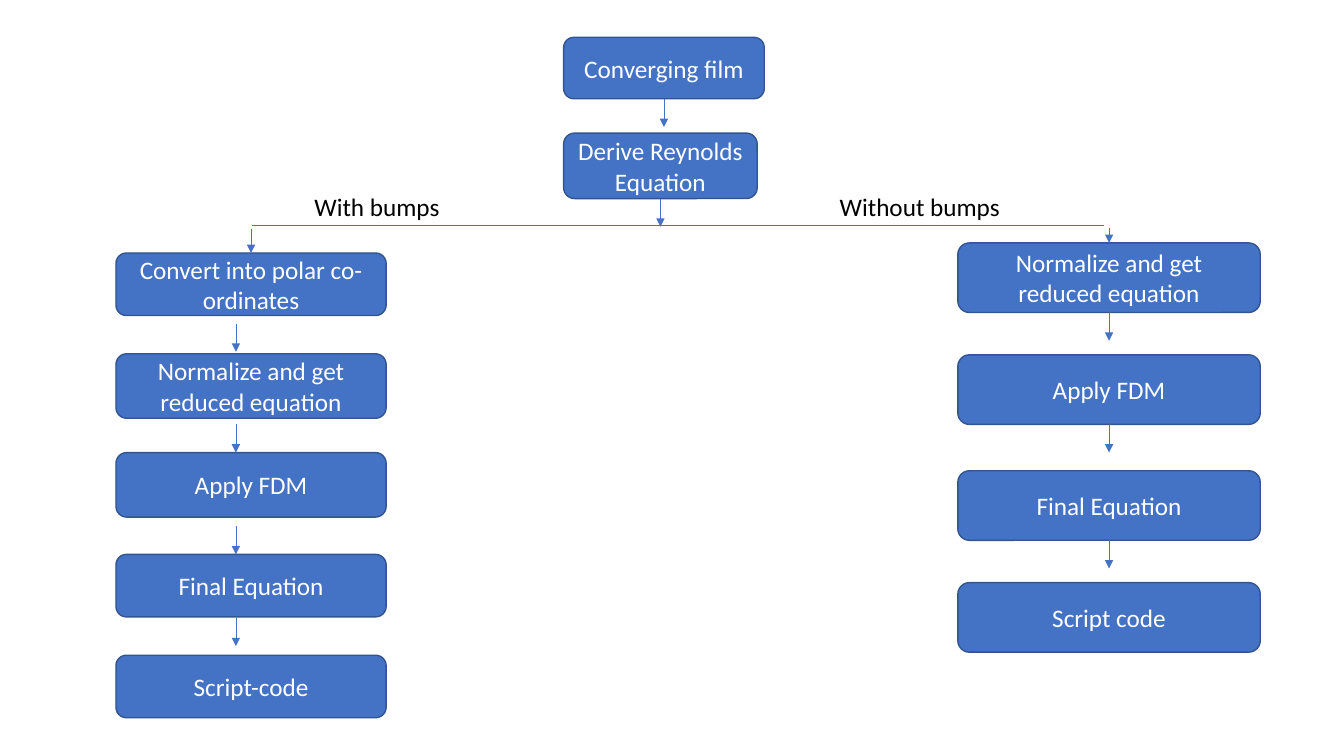
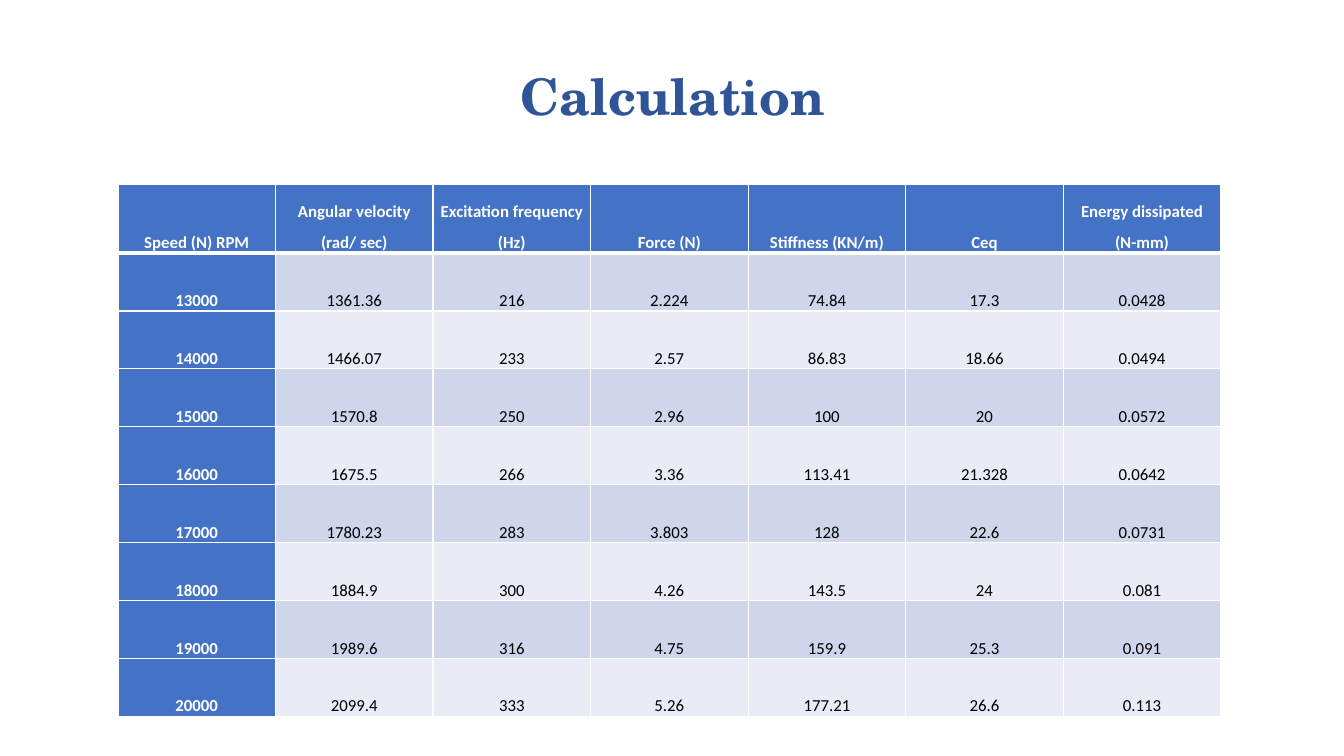
"""Build a two-slide deck: a solution flowchart and a table of results."""
import dataclasses

import lxml.etree
import pptx
import pptx.dml.color
import pptx.enum.shapes
import pptx.enum.text
import pptx.oxml.ns
import pptx.util

Inches = pptx.util.Inches
qn = pptx.oxml.ns.qn


@dataclasses.dataclass(frozen=True)
class Theme:
    """Colours, fonts and sizes shared by the slides."""
    accent: str = "4472C4"
    outline: str = "325491"
    heading: str = "2F5597"
    light: str = "FFFFFF"
    dark: str = "000000"
    bands: tuple = ("CFD5EA", "E9EBF5")
    body_font: str = "Calibri"
    title_font: str = "TeX Gyre Schola"
    title_size: int = 36
    flow_size: int = 18
    table_size: int = 12
    outline_width: float = 1
    arrow_width: float = 0.5
    rule_width: int = 1
    header_rule_width: int = 3


THEME = Theme()
ARROW_LENGTH = 0.28

WITH_BUMPS = [
    ("Convert into polar co-ordinates", 0, 0.62, 0.7),
    ("Normalize and get reduced equation", 1, 0.64, 1.7),
    ("Apply FDM", 1.98, 0.64, 2.71),
    ("Final Equation", 2.99, 0.62, 3.62),
    ("Script-code", 3.99, 0.62, None),
]
WITHOUT_BUMPS = [
    ("Normalize and get reduced equation", 0, 0.69, 0.69),
    ("Apply FDM", 1.11, 0.69, 1.8),
    ("Final Equation", 2.26, 0.69, 2.95),
    ("Script code", 3.37, 0.69, None),
]
RESULTS = [
    ("Speed (N) RPM", "Angular velocity (rad/ sec)", "Excitation frequency (Hz)",
     "Force (N)", "Stiffness (KN/m)", "Ceq", "Energy dissipated (N-mm)"),
    ("13000", "1361.36", "216", "2.224", "74.84", "17.3", "0.0428"),
    ("14000", "1466.07", "233", "2.57", "86.83", "18.66", "0.0494"),
    ("15000", "1570.8", "250", "2.96", "100", "20", "0.0572"),
    ("16000", "1675.5", "266", "3.36", "113.41", "21.328", "0.0642"),
    ("17000", "1780.23", "283", "3.803", "128", "22.6", "0.0731"),
    ("18000", "1884.9", "300", "4.26", "143.5", "24", "0.081"),
    ("19000", "1989.6", "316", "4.75", "159.9", "25.3", "0.091"),
    ("20000", "2099.4", "333", "5.26", "177.21", "26.6", "0.113"),
]


def rgb(code):
    """Return the colour for a hex code."""
    return pptx.dml.color.RGBColor.from_string(code)


def write(paragraph, text, size, color, font=THEME.body_font, bold=False, align="CENTER"):
    """Add one formatted run to a paragraph."""
    paragraph.alignment = getattr(pptx.enum.text.PP_ALIGN, align)
    run = paragraph.add_run()
    run.text = text
    run.font.name = font
    run.font.size = pptx.util.Pt(size)
    run.font.bold = bold
    run.font.color.rgb = rgb(color)


def add_step(slide, text, left, top, width, height):
    """Draw one flowchart step."""
    step = slide.shapes.add_shape(
        pptx.enum.shapes.MSO_SHAPE.FLOWCHART_ALTERNATE_PROCESS,
        Inches(left), Inches(top), Inches(width), Inches(height))
    step.shadow.inherit = False
    step.fill.solid()
    step.fill.fore_color.rgb = rgb(THEME.accent)
    step.line.color.rgb = rgb(THEME.outline)
    step.line.width = pptx.util.Pt(THEME.outline_width)
    step.text_frame.word_wrap = True
    step.text_frame.vertical_anchor = pptx.enum.text.MSO_ANCHOR.MIDDLE
    write(step.text_frame.paragraphs[0], text, THEME.flow_size, THEME.light)
    return step


def add_line(slide, start, end, arrow=True, source=None, target=None):
    """Draw a line, joined to the bottom of source or the top of target if given."""
    line = slide.shapes.add_connector(
        pptx.enum.shapes.MSO_CONNECTOR.STRAIGHT,
        Inches(start[0]), Inches(start[1]), Inches(end[0]), Inches(end[1]))
    line.line.color.rgb = rgb(THEME.accent)
    line.line.width = pptx.util.Pt(THEME.arrow_width)
    properties = line.element.spPr
    if arrow:
        lxml.etree.SubElement(properties.find(qn("a:ln")), qn("a:tailEnd"), type="triangle")
    lxml.etree.SubElement(properties, qn("a:effectLst"))
    if source is not None:
        line.begin_connect(source, 2)
    if target is not None:
        line.end_connect(target, 0)


def add_down_arrow(slide, x, top, source=None):
    """Draw a short arrow pointing down."""
    add_line(slide, (x, top), (x, top + ARROW_LENGTH), source=source)


def add_trunk(slide, left, top):
    """Draw the two steps shared by both branches."""
    for text, offset, width, height in (("Converging film", 0, 1.99, 0.61),
                                        ("Derive Reynolds Equation", 0.95, 1.92, 0.65)):
        step = add_step(slide, text, left, top + offset, width, height)
        add_down_arrow(slide, left + width / 2, top + offset + height, step)


def add_branch(slide, left, top, width, steps, arrow_x, fork_y):
    """Draw a column of steps, entered by an arrow from the fork."""
    centre = left + width / 2
    for text, offset, height, arrow_offset in steps:
        step = add_step(slide, text, left, top + offset, width, height)
        if offset == 0:
            add_line(slide, (centre, fork_y), (centre, top), target=step)
        if arrow_offset is not None:
            add_down_arrow(slide, arrow_x, top + arrow_offset,
                           step if arrow_x == centre else None)


def add_branch_label(slide, text, left, top, width, indent):
    """Write the condition above one side of the fork."""
    label = slide.shapes.add_textbox(Inches(left), Inches(top), Inches(width), Inches(0.4))
    label.text_frame.word_wrap = True
    paragraph = label.text_frame.paragraphs[0]
    write(paragraph, text, THEME.flow_size, THEME.dark, align="LEFT")
    paragraph._p.get_or_add_pPr().set("marL", str(Inches(indent)))


def add_flowchart_slide(deck):
    """Add the flowchart of the solution steps."""
    slide = deck.slides.add_slide(deck.slide_layouts[6])
    add_trunk(slide, 5.59, 0.37)
    add_line(slide, (2.5, 2.24), (10.95, 2.24), arrow=False)
    add_branch(slide, 1.15, 2.51, 2.68, WITH_BUMPS, 2.34, 2.27)
    add_branch(slide, 9.5, 2.41, 3, WITHOUT_BUMPS, 11, 2.26)
    add_branch_label(slide, "With bumps", 2.34, 1.85, 3.02, 0.68)
    add_branch_label(slide, "Without bumps", 7.95, 1.85, 2.32, 0.28)


def add_title(slide, text, left, top, width, height):
    """Fill and place the title placeholder."""
    title = slide.shapes.title
    title.left, title.top = Inches(left), Inches(top)
    title.width, title.height = Inches(width), Inches(height)
    title.text_frame.vertical_anchor = pptx.enum.text.MSO_ANCHOR.MIDDLE
    paragraph = title.text_frame.paragraphs[0]
    paragraph.line_spacing = 0.9
    write(paragraph, text, THEME.title_size, THEME.heading, THEME.title_font, True)


def set_borders(cell, top_width, bottom_width):
    """Draw the white rules around a cell."""
    widths = {"lnL": THEME.rule_width, "lnR": THEME.rule_width,
              "lnT": top_width, "lnB": bottom_width}
    properties = cell._tc.get_or_add_tcPr()
    for side, width in widths.items():
        rule = lxml.etree.SubElement(properties, qn("a:" + side), w=str(pptx.util.Pt(width)))
        fill = lxml.etree.SubElement(rule, qn("a:solidFill"))
        lxml.etree.SubElement(fill, qn("a:srgbClr"), val=THEME.light)


def format_cell(cell, text, row, column):
    """Write and style one cell according to its place in the table."""
    heading = row == 0 or column == 0
    thick, thin = THEME.header_rule_width, THEME.rule_width
    set_borders(cell, thick if row == 1 else thin, thick if row == 0 else thin)
    cell.fill.solid()
    cell.fill.fore_color.rgb = rgb(THEME.accent if heading else THEME.bands[(row - 1) % 2])
    cell.vertical_anchor = pptx.enum.text.MSO_ANCHOR.BOTTOM
    cell.margin_left = cell.margin_right = Inches(0.07)
    cell.margin_top = cell.margin_bottom = 0
    paragraph = cell.text_frame.paragraphs[0]
    paragraph.line_spacing = 1.5
    write(paragraph, text, THEME.table_size,
          THEME.light if heading else THEME.dark, bold=heading)


def add_results_table(slide, left, top, width, height, header_height):
    """Draw the results with equal columns and equal body rows."""
    row_count, column_count = len(RESULTS), len(RESULTS[0])
    table = slide.shapes.add_table(row_count, column_count, Inches(left), Inches(top),
                                   Inches(width), Inches(height)).table
    table.first_col = True
    for column in table.columns:
        column.width = Inches(width / column_count)
    for row, values in enumerate(RESULTS):
        body_height = (height - header_height) / (row_count - 1)
        table.rows[row].height = Inches(body_height if row else header_height)
        for column, value in enumerate(values):
            format_cell(table.cell(row, column), value, row, column)


def add_calculation_slide(deck):
    """Add the titled table of calculated values."""
    slide = deck.slides.add_slide(deck.slide_layouts[5])
    add_title(slide, "Calculation", 0.92, 0.4, 11.5, 1.17)
    add_results_table(slide, 1.17, 1.83, 10.94, 5.28, 0.68)


def main():
    """Build and save the deck."""
    deck = pptx.Presentation()
    deck.slide_width, deck.slide_height = Inches(13.33), Inches(7.5)
    add_flowchart_slide(deck)
    add_calculation_slide(deck)
    deck.save("out.pptx")


if __name__ == "__main__":
    main()
